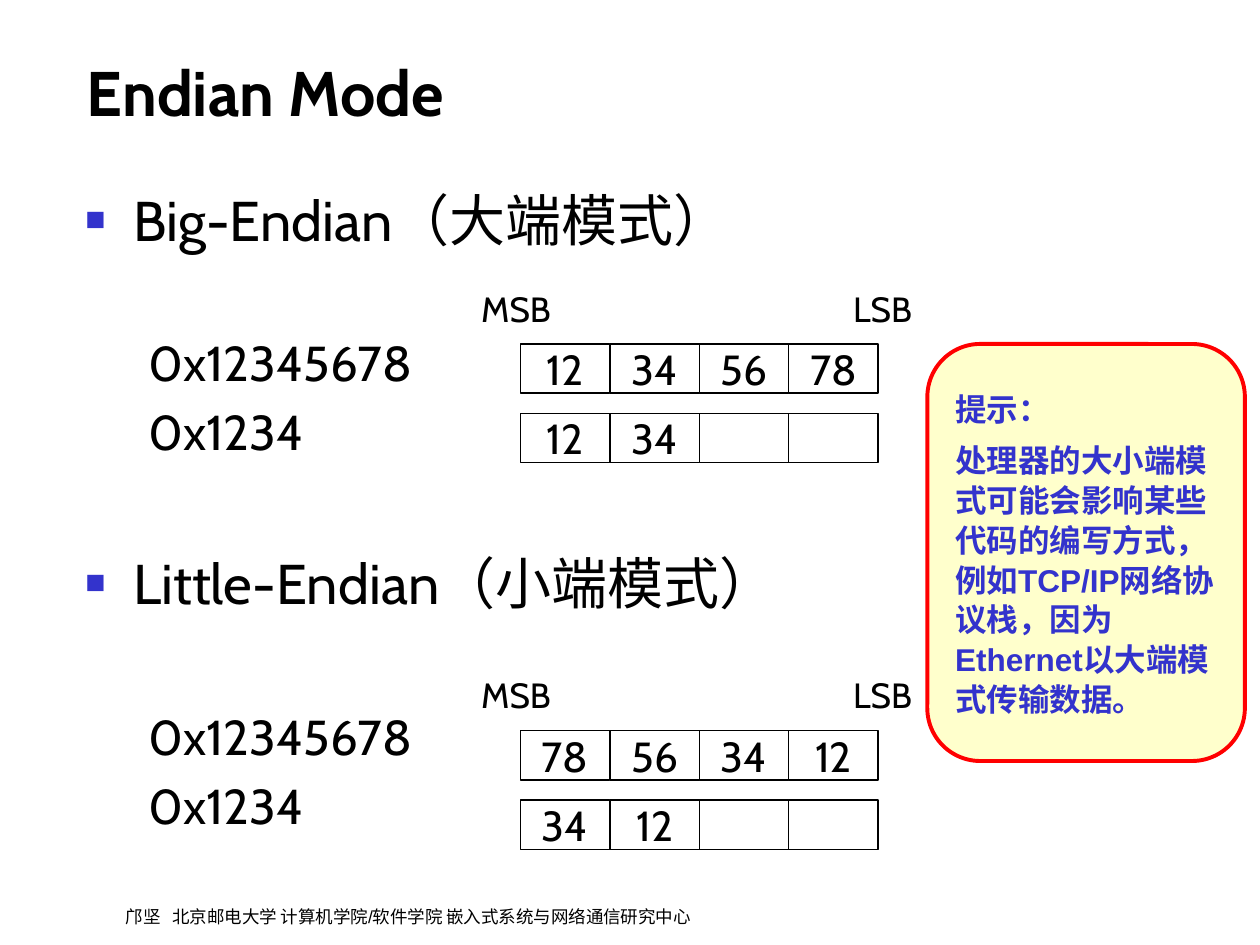
from lxml import etree
from pptx import Presentation
from pptx.dml.color import RGBColor
from pptx.enum.shapes import MSO_SHAPE
from pptx.enum.text import MSO_ANCHOR, PP_ALIGN
from pptx.oxml.ns import qn
from pptx.util import Inches, Pt

RECT, ROUNDED = MSO_SHAPE.RECTANGLE, MSO_SHAPE.ROUNDED_RECTANGLE
TOP, MIDDLE, BOTTOM = MSO_ANCHOR.TOP, MSO_ANCHOR.MIDDLE, MSO_ANCHOR.BOTTOM
LEFT, CENTER = PP_ALIGN.LEFT, PP_ALIGN.CENTER

COLORS = {"text": "000000", "accent": "3333CC", "paper": "FFFFFF",
          "note": "FFFFCC", "note_line": "FF0000"}

# Content
TITLE = "Endian Mode"
MODES = [
    {"heading": "Big-Endian（大端模式）", "heading_top": 1.42,
     "values_top": 2.59, "bytes_top": 2.73,
     "rows": [("0x12345678", ["12", "34", "56", "78"]),
              ("0x1234", ["12", "34", "", ""])]},
    {"heading": "Little-Endian（小端模式）", "heading_top": 4.3,
     "values_top": 5.56, "bytes_top": 5.8,
     "rows": [("0x12345678", ["78", "56", "34", "12"]),
              ("0x1234", ["34", "12", "", ""])]},
]
NOTE = ["提示：",
        "处理器的大小端模式可能会影响某些代码的编写方式，"
        "例如TCP/IP网络协议栈，因为Ethernet以大端模式传输数据。"]
FOOTER = "邝坚\t北京邮电大学 计算机学院/软件学院 嵌入式系统与网络通信研究中心"

# Byte grid, in inches
GRID_LEFT, BYTE_W, BYTE_H, ROW_STEP = 4.13, 0.71, 0.39, 0.55
LABEL_SHIFT, LABEL_RISE = 0.39, 0.48

prs = Presentation()
prs.slide_width, prs.slide_height = Inches(10), Inches(7.5)
slide = prs.slides.add_slide(prs.slide_layouts[6])


def color(name):
    return RGBColor.from_string(COLORS[name])


def write(shape, lines, size, font="Cabin", ink="text", bold=False,
          align=LEFT, anchor=TOP, wrap=True, before=0, spacing=1.0):
    frame = shape.text_frame
    frame.word_wrap = wrap
    frame.vertical_anchor = anchor
    for i, line in enumerate(lines):
        para = frame.paragraphs[0] if i == 0 else frame.add_paragraph()
        para.alignment = align
        para.line_spacing = spacing
        para.space_before = Pt(before if i else 0)
        run = para.add_run()
        run.text = line
        run.font.name, run.font.size, run.font.bold = font, Pt(size), bold
        run.font.color.rgb = color(ink)
    return frame


def text_box(box, lines, size, **style):
    return write(slide.shapes.add_textbox(*map(Inches, box)), lines, size, **style)


def panel(kind, box, fill, line=None, width=0.75):
    shape = slide.shapes.add_shape(kind, *map(Inches, box))
    shape.shadow.inherit = False
    shape.fill.solid()
    shape.fill.fore_color.rgb = color(fill)
    if line:
        shape.line.color.rgb = color(line)
        shape.line.width = Pt(width)
    else:
        shape.line.fill.background()
    return shape


def add_bullet(para):
    props = para._p.get_or_add_pPr()
    props.set("marL", str(Inches(0.38)))
    props.set("indent", str(-Inches(0.38)))
    tint = etree.SubElement(props, qn("a:buClr"))
    etree.SubElement(tint, qn("a:srgbClr"), val=COLORS["accent"])
    etree.SubElement(props, qn("a:buSzPct"), val="60000")
    etree.SubElement(props, qn("a:buFont"), typeface="Arial")
    etree.SubElement(props, qn("a:buChar"), char="■")


def add_tab_stop(para, position):
    stops = etree.SubElement(para._p.get_or_add_pPr(), qn("a:tabLst"))
    etree.SubElement(stops, qn("a:tab"), pos=str(Inches(position)), algn="l")


# Footer and title
footer = text_box((0.9, 7.14, 5.83, 0.24), [FOOTER], 10, font="Arial")
add_tab_stop(footer.paragraphs[0], 0.37)
text_box((0.59, 0.32, 9.41, 0.75), [TITLE], 36, bold=True, anchor=BOTTOM)

# Both modes: heading, hex values, end labels and byte grid
for mode in MODES:
    heading = text_box((0.58, mode["heading_top"], 8.83, 0.65), [mode["heading"]], 32)
    add_bullet(heading.paragraphs[0])
    text_box((1.08, mode["values_top"], 2.6, 1.15),
             [value for value, _ in mode["rows"]], 28, before=5.5)

    for r, (_, row_bytes) in enumerate(mode["rows"]):
        for c, byte in enumerate(row_bytes):
            cell = panel(RECT, (GRID_LEFT + c * BYTE_W, mode["bytes_top"] + r * ROW_STEP,
                                BYTE_W, BYTE_H), "paper", "text")
            if byte:
                write(cell, [byte], 24, align=CENTER, anchor=MIDDLE, wrap=False)

    label_top = mode["bytes_top"] - LABEL_RISE
    for label, left in (("MSB", GRID_LEFT - LABEL_SHIFT),
                        ("LSB", GRID_LEFT + 3 * BYTE_W + LABEL_SHIFT)):
        write(panel(RECT, (left, label_top, BYTE_W, BYTE_H), "paper"), [label], 20,
              align=CENTER, anchor=MIDDLE, wrap=False)

# Note
note = panel(ROUNDED, (7.36, 2.73, 2.52, 3.31), "note", "note_line", 2.25)
write(note, NOTE, 18, font="Arial", ink="accent", bold=True, anchor=MIDDLE,
      before=7, spacing=1.05)

prs.save("out.pptx")
